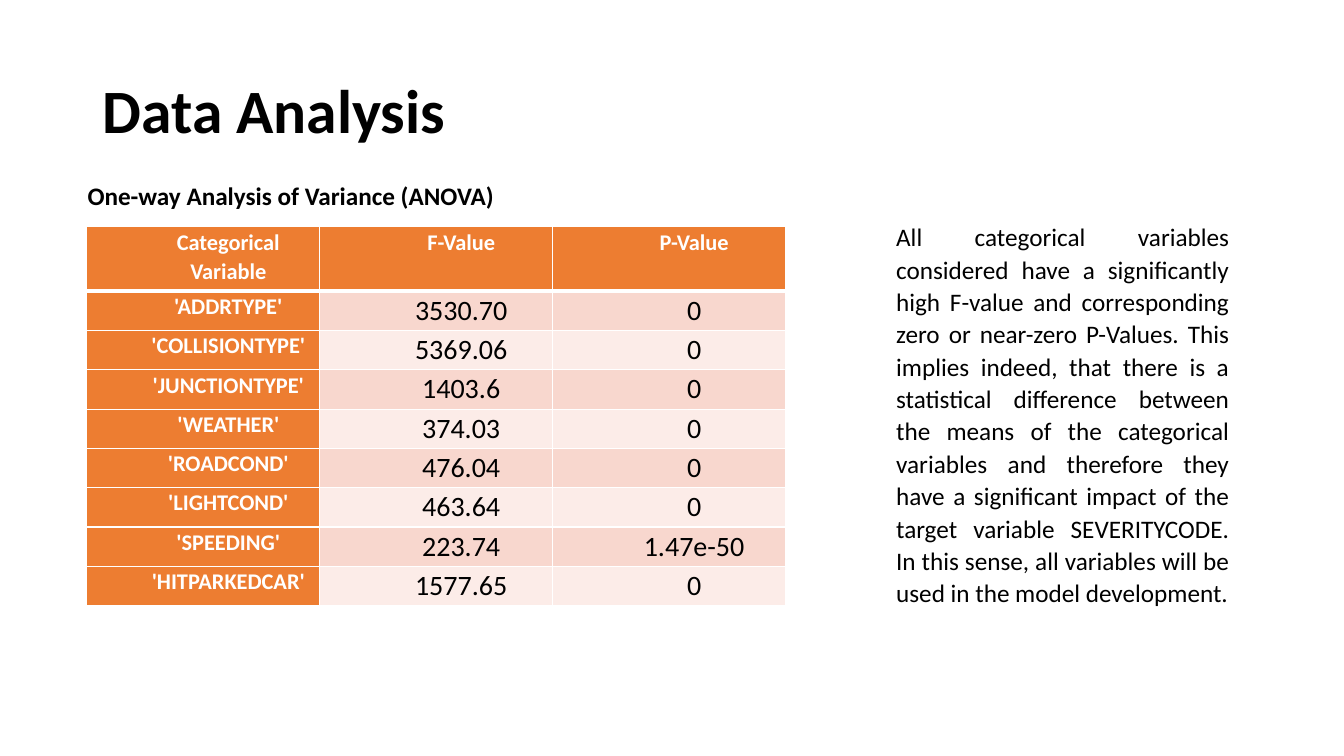
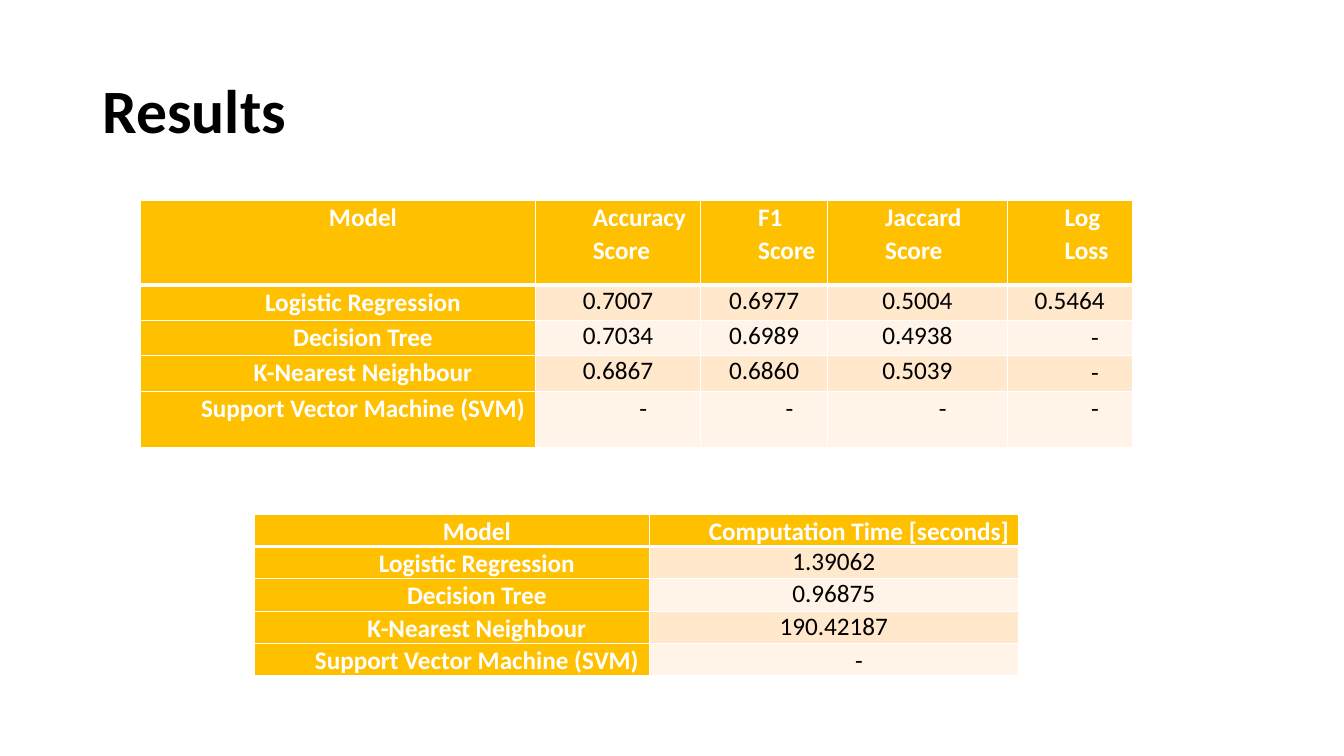
from dataclasses import dataclass

from lxml.etree import SubElement
from pptx import Presentation
from pptx.dml.color import RGBColor
from pptx.enum.text import MSO_ANCHOR as Anchor, MSO_AUTO_SIZE as AutoSize, PP_ALIGN as Align
from pptx.oxml import parse_xml
from pptx.oxml.ns import nsdecls, qn
from pptx.util import Inches, Pt

FONT = "Calibri"
BLACK = "000000"
WHITE = "FFFFFF"
TEXT_INDENT = 0.5
TEXT_SPACING = 1.07
CELL_MARGIN = 0.07
GRID_LINE = 1
HEADER_LINE = 3


@dataclass(frozen=True)
class Palette:
    accent: str
    odd_row: str
    even_row: str


@dataclass(frozen=True)
class TextStyle:
    size: float
    color: str = BLACK
    bold: bool = False
    align: Align = Align.LEFT
    indent: float = 0
    spacing: float = 1.0
    space_after: float = 0


@dataclass(frozen=True)
class DataTable:
    """Header row and label column in accent colour; positions and sizes in inches."""
    left: float
    top: float
    columns: list[float]
    row_heights: list[float]
    rows: list[list[str]]
    palette: Palette
    label_size: float
    value_size: float
    value_indent: float = 0
    value_spacing: float = 1.0
    measure_align: Align = Align.CENTER


ORANGE = Palette("ED7D31", "F8D7CE", "FCECE8")
GOLD = Palette("FFC000", "FFE8CC", "FFF4E7")

TITLE = TextStyle(44, bold=True, spacing=0.9)
BODY = TextStyle(18, align=Align.JUSTIFY, indent=TEXT_INDENT,
                 spacing=TEXT_SPACING, space_after=8)
SUBTITLE = TextStyle(18, bold=True, align=Align.JUSTIFY, indent=TEXT_INDENT,
                     spacing=TEXT_SPACING, space_after=8)

ANOVA = DataTable(
    left=0.86, top=2.25, columns=[2.31] * 3, row_heights=[0.64] + [0.39] * 8,
    rows=[
        ["Categorical Variable", "F-Value", "P-Value"],
        ["'ADDRTYPE'", "3530.70", "0"],
        ["'COLLISIONTYPE'", "5369.06", "0"],
        ["'JUNCTIONTYPE'", "1403.6", "0"],
        ["'WEATHER'", "374.03", "0"],
        ["'ROADCOND'", "476.04", "0"],
        ["'LIGHTCOND'", "463.64", "0"],
        ["'SPEEDING'", "223.74", "1.47e-50"],
        ["'HITPARKEDCAR'", "1577.65", "0"],
    ],
    palette=ORANGE, label_size=16, value_size=20,
    value_indent=TEXT_INDENT, value_spacing=TEXT_SPACING)

SCORES = DataTable(
    left=1.39, top=1.99, columns=[3.92, 1.64, 1.26, 1.78, 1.24],
    row_heights=[0.84, 0.35, 0.35, 0.35, 0.56],
    rows=[
        ["Model", "Accuracy Score", "F1 Score", "Jaccard Score", "Log Loss"],
        ["Logistic Regression", "0.7007", "0.6977", "0.5004", "0.5464"],
        ["Decision Tree", "0.7034", "0.6989", "0.4938", "-"],
        ["K-Nearest Neighbour", "0.6867", "0.6860", "0.5039", "-"],
        ["Support Vector Machine (SVM)", "-", "-", "-", "-"],
    ],
    palette=GOLD, label_size=18, value_size=18, measure_align=Align.LEFT)

TIMES = DataTable(
    left=2.52, top=5.1, columns=[3.92, 3.66], row_heights=[0.31] * 5,
    rows=[
        ["Model", "Computation Time [seconds]"],
        ["Logistic Regression", "1.39062"],
        ["Decision Tree", "0.96875"],
        ["K-Nearest Neighbour", "190.42187"],
        ["Support Vector Machine (SVM)", "-"],
    ],
    palette=GOLD, label_size=18, value_size=18)

ANOVA_FINDING = (
    "All categorical variables considered have a significantly high F-value and "
    "corresponding zero or near-zero P-Values. This implies indeed, that there is a "
    "statistical difference between the means of the categorical variables and "
    "therefore they have a significant impact of the target variable SEVERITYCODE. "
    "In this sense, all variables will be used in the model development.")


def rgb(color: str) -> RGBColor:
    return RGBColor.from_string(color)


def write(frame, text: str, style: TextStyle) -> None:
    frame.text = text
    paragraph = frame.paragraphs[0]
    paragraph.alignment = style.align
    paragraph.line_spacing = style.spacing
    paragraph.space_after = Pt(style.space_after)
    if style.indent:
        properties = paragraph._p.get_or_add_pPr()
        properties.set("marL", str(Inches(style.indent)))
        properties.set("indent", "0")
    font = paragraph.font
    font.name, font.size, font.bold = FONT, Pt(style.size), style.bold
    font.color.rgb = rgb(style.color)


def add_text(slide, text: str, style: TextStyle, left: float, top: float,
             width: float, height: float, wrap: bool = True):
    box = slide.shapes.add_textbox(Inches(left), Inches(top), Inches(width), Inches(height))
    frame = box.text_frame
    frame.word_wrap = wrap
    frame.auto_size = AutoSize.SHAPE_TO_FIT_TEXT
    write(frame, text, style)
    return frame


def set_borders(cell, top: float, bottom: float) -> None:
    """Draw white cell borders; widths in points, the sides always one grid line."""
    properties = cell._tc.get_or_add_tcPr()
    widths = {"lnL": GRID_LINE, "lnR": GRID_LINE, "lnT": top, "lnB": bottom}
    for position, (tag, width) in enumerate(widths.items()):
        line = parse_xml(f'<a:{tag} {nsdecls("a")} w="{Pt(width)}"/>')
        fill = SubElement(line, qn("a:solidFill"))
        SubElement(fill, qn("a:srgbClr"), val=WHITE)
        properties.insert(position, line)


def cell_look(data: DataTable, row: int, column: int) -> tuple[str, TextStyle]:
    """Return the fill and the text style of one cell."""
    if row == 0 or column == 0:
        align = data.measure_align if column else Align.CENTER
        return data.palette.accent, TextStyle(
            data.label_size, WHITE, True, align, TEXT_INDENT, TEXT_SPACING)
    fill = data.palette.odd_row if row % 2 else data.palette.even_row
    missing = data.rows[row][column] == "-"
    indent = TEXT_INDENT if missing else data.value_indent
    spacing = TEXT_SPACING if missing else data.value_spacing
    return fill, TextStyle(data.value_size, BLACK, False, Align.CENTER, indent, spacing)


def add_data_table(slide, data: DataTable) -> None:
    table = slide.shapes.add_table(
        len(data.rows), len(data.columns), Inches(data.left), Inches(data.top),
        Inches(sum(data.columns)), Inches(sum(data.row_heights))).table
    for column, width in zip(table.columns, data.columns):
        column.width = Inches(width)
    for row, height in zip(table.rows, data.row_heights):
        row.height = Inches(height)
    for r, texts in enumerate(data.rows):
        for c, text in enumerate(texts):
            cell = table.cell(r, c)
            fill, style = cell_look(data, r, c)
            cell.fill.solid()
            cell.fill.fore_color.rgb = rgb(fill)
            cell.margin_left = cell.margin_right = Inches(CELL_MARGIN)
            cell.margin_top = cell.margin_bottom = 0
            write(cell.text_frame, text, style)
            set_borders(cell, top=HEADER_LINE if r == 1 else GRID_LINE,
                        bottom=HEADER_LINE if r == 0 else GRID_LINE)


def add_titled_slide(deck, title: str):
    slide = deck.slides.add_slide(deck.slide_layouts[6])
    frame = add_text(slide, title, TITLE, 0.92, 0.4, 11.5, 1.45)
    frame.auto_size = AutoSize.NONE
    frame.vertical_anchor = Anchor.MIDDLE
    return slide


def main() -> None:
    deck = Presentation()
    deck.slide_width, deck.slide_height = Inches(13.33), Inches(7.5)

    analysis = add_titled_slide(deck, "Data Analysis")
    add_data_table(analysis, ANOVA)
    add_text(analysis, ANOVA_FINDING, BODY, 8.29, 2.13, 4, 4.3)
    add_text(analysis, "One-way Analysis of Variance (ANOVA)", SUBTITLE,
             0.27, 1.72, 4.77, 0.41, wrap=False)

    results = add_titled_slide(deck, "Results")
    add_data_table(results, SCORES)
    add_data_table(results, TIMES)

    deck.save("out.pptx")


if __name__ == "__main__":
    main()
